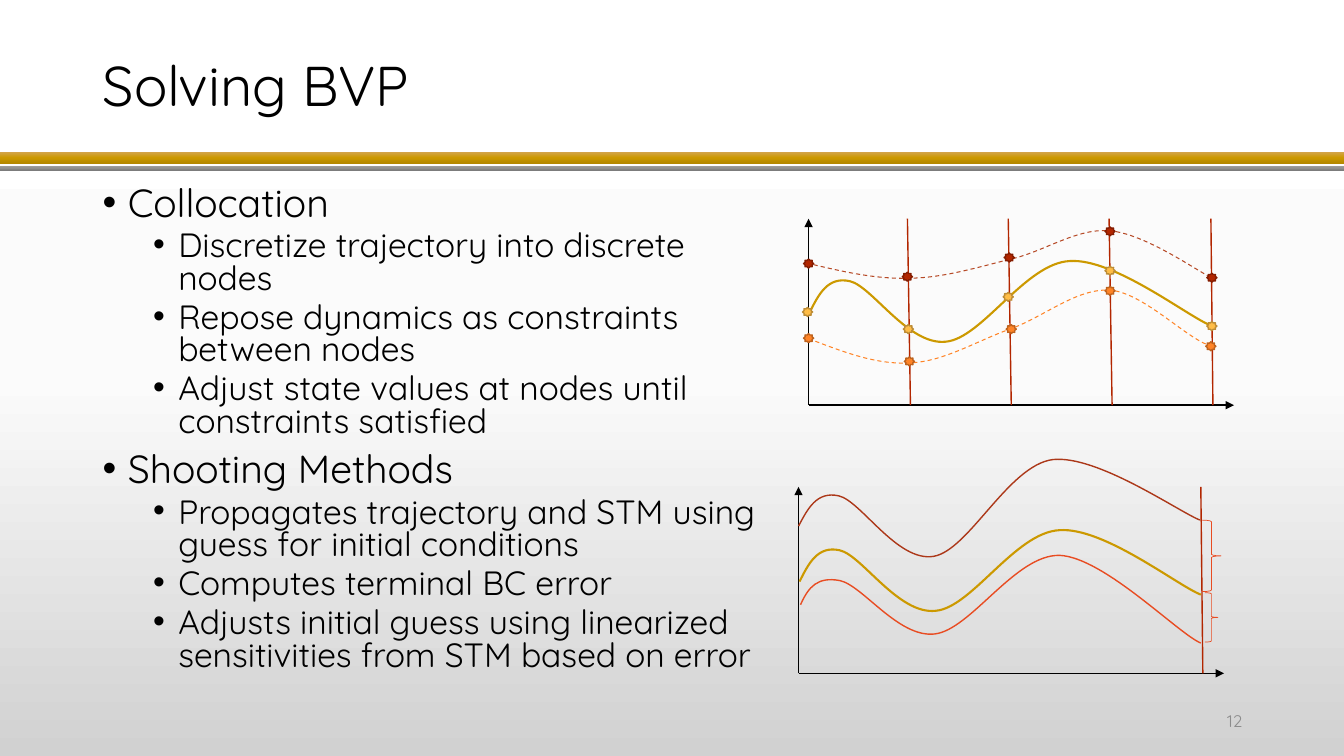
from dataclasses import dataclass

from pptx import Presentation
from pptx import util as u
from pptx.dml.color import RGBColor
from pptx.enum import dml, shapes, text
from pptx.oxml import ns
from lxml import etree


@dataclass(frozen=True)
class Theme:
    font: str = "Quicksand"
    title_size: int = 40
    topic_size: int = 28
    detail_size: int = 24
    number_size: int = 12
    black: str = "000000"
    grey: str = "8C8C8C"
    gold: str = "CC9900"
    red: str = "B22600"
    dark_red: str = "841C00"
    upper_dash: str = "B64926"
    upper_shot: str = "AC3819"
    vermilion: str = "E84C22"
    orange: str = "FF8427"
    dark_orange: str = "BD621D"
    amber: str = "FFBD47"
    dark_amber: str = "BD8C35"
    background: tuple = ("FFFFFF", "FBFBFB", "D1D1D1")
    gold_bar: tuple = ("D3A44B", "CC9900", "B58800")
    grey_bar: tuple = ("9D9D9D", "909090", "7C7C7C")


class SlideBuilder:
    def __init__(self, slide, theme):
        self.slide = slide
        self.theme = theme

    def gradient(self, fill, element, colors):
        fill.gradient()
        fill.gradient_angle = 270
        stop_list = element.find(".//" + ns.qn("a:gsLst"))
        for stop in list(stop_list):
            stop_list.remove(stop)
        for index, color in enumerate(colors):
            stop = etree.SubElement(stop_list, ns.qn("a:gs"), pos=str(index * 50000))
            etree.SubElement(stop, ns.qn("a:srgbClr"), val=color)

    def background(self, colors):
        self.gradient(self.slide.background.fill, self.slide.element, colors)

    def outline(self, line, color, width):
        line.color.rgb = RGBColor.from_string(color)
        line.width = u.Pt(width)

    def preset(self, kind, left, top, width, height):
        shape = self.slide.shapes.add_shape(
            kind, u.Inches(left), u.Inches(top), u.Inches(width), u.Inches(height))
        shape.shadow.inherit = False
        return shape

    def bar(self, top, height, colors):
        shape = self.preset(shapes.MSO_SHAPE.RECTANGLE, 0, top, 13.33, height)
        self.gradient(shape.fill, shape.element, colors)
        shape.line.fill.background()

    def node(self, left, top, fill, edge):
        shape = self.preset(shapes.MSO_SHAPE.STAR_8_POINT, left, top, 0.1, 0.09)
        shape.fill.solid()
        shape.fill.fore_color.rgb = RGBColor.from_string(fill)
        self.outline(shape.line, edge, 1)

    def brace(self, left, top, width, height):
        shape = self.preset(shapes.MSO_SHAPE.RIGHT_BRACE, left, top, width, height)
        shape.fill.background()
        self.outline(shape.line, self.theme.vermilion, 0.5)

    def line(self, start, end, color, arrow=False):
        connector = self.slide.shapes.add_connector(
            shapes.MSO_CONNECTOR.STRAIGHT, *map(u.Inches, start + end))
        self.outline(connector.line, color, 1)
        if arrow:
            etree.SubElement(connector.line._get_or_add_ln(), ns.qn("a:tailEnd"), type="triangle")
        etree.SubElement(connector.element.spPr, ns.qn("a:effectLst"))

    def axes(self, left, bottom):
        self.line((left, bottom), (left, bottom - 1.85), self.theme.black, True)
        self.line((left, bottom), (left + 4.22, bottom), self.theme.black, True)

    def curve(self, points, color, width, dashed=False):
        places = [(u.Inches(x), u.Inches(y)) for x, y in points]
        builder = self.slide.shapes.build_freeform(*places[0])
        builder.add_line_segments(places[3::3], close=False)
        shape = builder.convert_to_shape()
        for index, segment in enumerate(shape.element.findall(".//" + ns.qn("a:lnTo"))):
            segment.tag = ns.qn("a:cubicBezTo")
            for position, (x, y) in enumerate(places[3 * index + 1:3 * index + 3]):
                control = etree.Element(ns.qn("a:pt"), x=str(x - shape.left), y=str(y - shape.top))
                segment.insert(position, control)
        shape.shadow.inherit = False
        shape.fill.background()
        self.outline(shape.line, color, width)
        if dashed:
            shape.line.dash_style = dml.MSO_LINE.DASH

    def text_frame(self, left, top, width, height, anchor):
        box = self.slide.shapes.add_textbox(*map(u.Inches, (left, top, width, height)))
        box.text_frame.word_wrap = True
        box.text_frame.vertical_anchor = anchor
        return box.text_frame

    def format_runs(self, paragraph, size, color):
        for run in paragraph.runs:
            run.font.name = self.theme.font
            run.font.size = u.Pt(size)
            run.font.color.rgb = RGBColor.from_string(color)

    def label(self, words, box, size, color, align=text.PP_ALIGN.LEFT, spacing=1.0):
        frame = self.text_frame(*box, text.MSO_ANCHOR.MIDDLE)
        frame.text = words
        paragraph = frame.paragraphs[0]
        paragraph.alignment = align
        paragraph.line_spacing = spacing
        self.format_runs(paragraph, size, color)

    def outline_list(self, items, box):
        frame = self.text_frame(*box, text.MSO_ANCHOR.TOP)
        for index, (level, words) in enumerate(items):
            paragraph = frame.add_paragraph() if index else frame.paragraphs[0]
            paragraph.text = words
            paragraph.level = level
            properties = paragraph._p.get_or_add_pPr()
            properties.set("marL", str(u.Inches(0.25 + 0.5 * level)))
            properties.set("indent", str(u.Inches(-0.25)))
            etree.SubElement(properties, ns.qn("a:buFont"), typeface="Arial")
            etree.SubElement(properties, ns.qn("a:buChar"), char="•")
            paragraph.line_spacing = 0.8
            if index:
                paragraph.space_before = u.Pt(5 if level else 10)
            size = self.theme.detail_size if level else self.theme.topic_size
            self.format_runs(paragraph, size, self.theme.black)


OUTLINE = [
    (0, "Collocation"),
    (1, "Discretize trajectory into discrete nodes"),
    (1, "Repose dynamics as constraints between nodes"),
    (1, "Adjust state values at nodes until constraints satisfied"),
    (0, "Shooting Methods"),
    (1, "Propagates trajectory and STM using guess for initial conditions"),
    (1, "Computes terminal BC error"),
    (1, "Adjusts initial guess using linearized sensitivities from STM based on error"),
]
UPPER_GUESS = [(8, 2.61), (8.34, 2.69), (8.67, 2.77), (9.01, 2.76), (9.35, 2.76), (9.7, 2.65),
               (10.03, 2.57), (10.37, 2.49), (10.68, 2.26), (11.01, 2.29), (11.35, 2.32),
               (11.85, 2.67), (12.02, 2.76)]
LOWER_GUESS = [(8.02, 3.36), (8.36, 3.49), (8.69, 3.62), (9.02, 3.6), (9.36, 3.59), (9.69, 3.38),
               (10.03, 3.26), (10.36, 3.14), (10.69, 2.85), (11.02, 2.88), (11.35, 2.91),
               (11.79, 3.38), (12.01, 3.43)]
SOLUTION = [(7.93, 5.77), (8.02, 5.59), (8.11, 5.41), (8.33, 5.46), (8.55, 5.51), (8.91, 6.1),
            (9.28, 6.06), (9.64, 6.03), (10.07, 5.28), (10.51, 5.26), (10.95, 5.23),
            (11.68, 5.81), (11.91, 5.9)]
UPPER_SHOT = [(7.92, 5.22), (8.01, 5.05), (8.1, 4.87), (8.32, 4.92), (8.54, 4.97), (8.9, 5.58),
              (9.26, 5.52), (9.61, 5.46), (10, 4.62), (10.44, 4.56), (10.88, 4.51),
              (11.68, 5.07), (11.9, 5.16)]
LOWER_SHOT = [(7.94, 6), (8.02, 5.82), (8.11, 5.72), (8.33, 5.76), (8.56, 5.81), (8.91, 6.33),
              (9.27, 6.29), (9.63, 6.25), (10.07, 5.5), (10.51, 5.51), (10.95, 5.53),
              (11.69, 6.29), (11.91, 6.38)]
UPPER_NODES = [(7.97, 2.57), (8.95, 2.7), (9.96, 2.51), (10.96, 2.25), (11.97, 2.71)]
LOWER_NODES = [(7.97, 3.31), (8.97, 3.54), (9.98, 3.22), (10.96, 2.84), (11.96, 3.39)]
SOLUTION_NODES = [(7.96, 3.05), (8.96, 3.22), (9.95, 2.9), (10.96, 2.64), (11.97, 3.19)]


def main():
    presentation = Presentation()
    presentation.slide_width = u.Inches(13.33)
    presentation.slide_height = u.Inches(7.5)
    theme = Theme()
    builder = SlideBuilder(presentation.slides.add_slide(presentation.slide_layouts[6]), theme)

    builder.background(theme.background)
    builder.bar(1.51, 0.11, theme.gold_bar)
    builder.bar(1.65, 0.04, theme.grey_bar)
    builder.curve(UPPER_GUESS, theme.upper_dash, 0.75, dashed=True)
    builder.curve(LOWER_GUESS, theme.orange, 0.75, dashed=True)
    builder.label("Solving BVP", (0.92, 0.4, 9.46, 0.95), theme.title_size, theme.black, spacing=0.9)
    builder.label("12", (9.42, 6.95, 3, 0.4), theme.number_size, theme.grey, text.PP_ALIGN.RIGHT)
    builder.outline_list(OUTLINE, (0.92, 1.81, 6.73, 5.14))

    builder.axes(7.92, 6.68)
    builder.curve(UPPER_SHOT, theme.upper_shot, 1)
    builder.curve(SOLUTION, theme.gold, 1.5)
    builder.line((11.91, 4.83), (11.93, 6.68), theme.red)
    builder.curve(LOWER_SHOT, theme.vermilion, 1)
    builder.brace(11.92, 5.16, 0.19, 0.71)
    builder.brace(11.95, 5.88, 0.13, 0.49)

    builder.axes(8.02, 4.02)
    builder.curve([(x + 0.1, y - 2.67) for x, y in SOLUTION], theme.gold, 1.5)
    for top_x, bottom_x in ((12.01, 12.03), (9, 9.03), (10, 10.03), (11, 11.03)):
        builder.line((top_x, 2.17), (bottom_x, 4.02), theme.red)
    for nodes, fill, edge in (
        (UPPER_NODES, theme.red, theme.dark_red),
        (LOWER_NODES, theme.orange, theme.dark_orange),
        (SOLUTION_NODES, theme.amber, theme.dark_amber),
    ):
        for left, top in nodes:
            builder.node(left, top, fill, edge)

    presentation.save("out.pptx")


if __name__ == "__main__":
    main()
